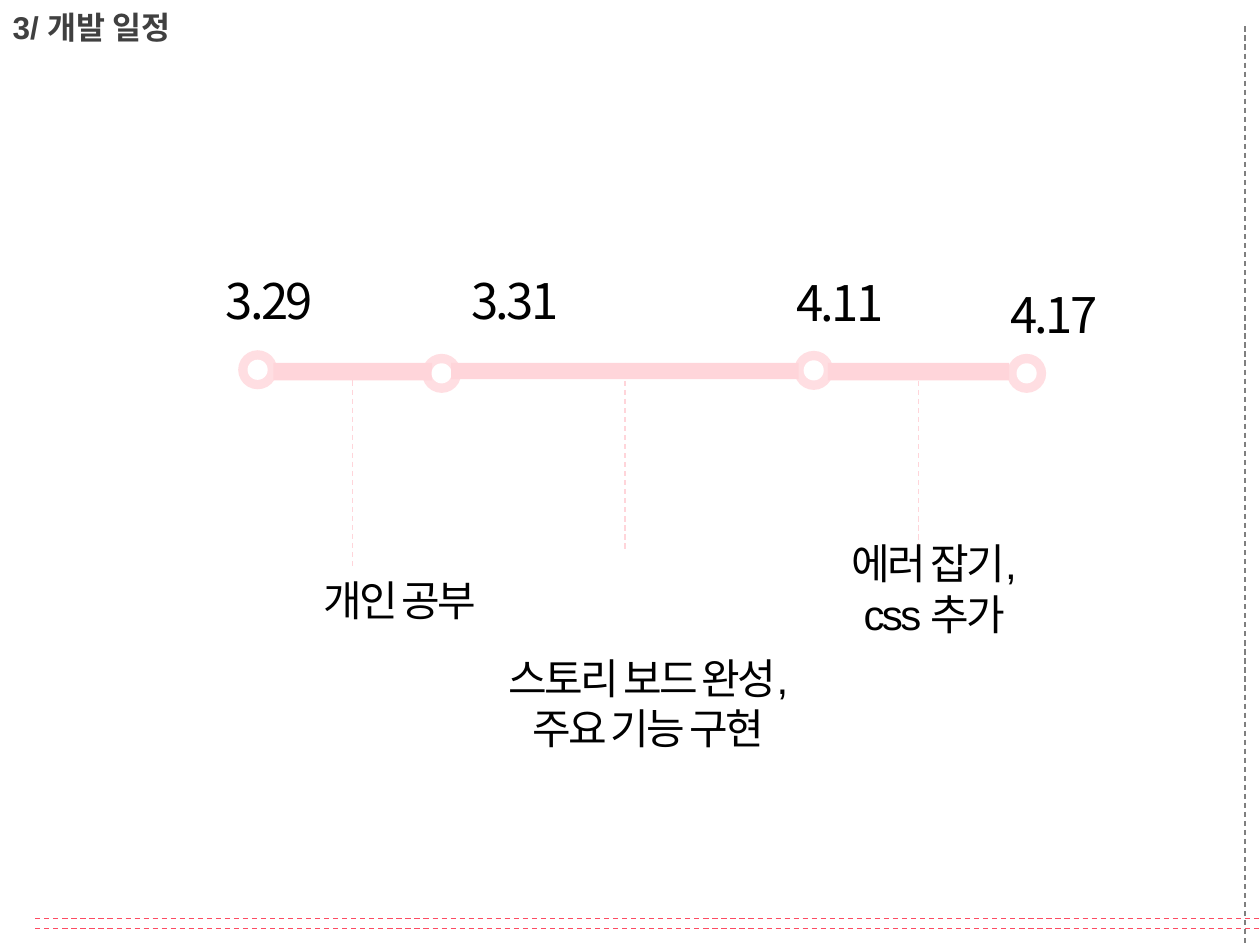
from pptx import Presentation
from pptx.dml.color import RGBColor
from pptx.enum.dml import MSO_LINE
from pptx.enum.shapes import MSO_CONNECTOR, MSO_SHAPE
from pptx.enum.text import MSO_ANCHOR, MSO_AUTO_SIZE, PP_ALIGN as ALIGN
from pptx.oxml.ns import qn
from pptx.util import Pt
from lxml.etree import SubElement

PINK = RGBColor(0xFF, 0xD5, 0xDA)
RED = RGBColor(0xFD, 0x4B, 0x62)
WHITE = RGBColor(0xFF, 0xFF, 0xFF)
BLACK = RGBColor(0, 0, 0)
DARK_GRAY = RGBColor(0x40, 0x40, 0x40)
GRAY = RGBColor(0x7F, 0x7F, 0x7F)

RING_SIZE, HOLE_SIZE = 22.32, 11.52
BAR_TOP = 207.36
TOP, BOTTOM = 0, 2  # connection sites of a rectangle


def write(shape, text, font="Arial", size=24, color=BLACK, bold=False,
          align=ALIGN.CENTER, spacing=-1.5, wrap=True):
    """Fill a shape with text, one paragraph per line."""
    frame = shape.text_frame
    frame.word_wrap = wrap
    frame.auto_size = MSO_AUTO_SIZE.SHAPE_TO_FIT_TEXT
    frame.vertical_anchor = MSO_ANCHOR.TOP
    frame.text = text
    for paragraph in frame.paragraphs:
        paragraph.alignment = align
        for run in paragraph.runs:
            run.font.name = font
            run.font.size = Pt(size)
            run.font.bold = bold
            run.font.color.rgb = color
            if spacing:
                run.font._element.set("spc", str(int(spacing * 100)))


def place(shape, left, top, width, height):
    shape.left, shape.top = Pt(left), Pt(top)
    shape.width, shape.height = Pt(width), Pt(height)


def add_text(slide, text, left, top, width, height, **text_format):
    box = slide.shapes.add_textbox(Pt(left), Pt(top), Pt(width), Pt(height))
    write(box, text, **text_format)


def add_filled(shapes, kind, left, top, width, height, color, opacity=None):
    shape = shapes.add_shape(kind, Pt(left), Pt(top), Pt(width), Pt(height))
    shape.shadow.inherit = False
    shape.line.fill.background()
    shape.fill.solid()
    shape.fill.fore_color.rgb = color
    if opacity is not None:
        color_element = shape._element.spPr.find(".//" + qn("a:srgbClr"))
        SubElement(color_element, qn("a:alpha")).set("val", str(opacity * 1000))
    return shape


def add_bar(slide, left, width, height):
    return add_filled(slide.shapes, MSO_SHAPE.RECTANGLE, left, BAR_TOP, width, height, PINK)


def add_milestone(slide, left, top):
    """Translucent ring with a white centre."""
    shapes = slide.shapes.add_group_shape().shapes
    inset = (RING_SIZE - HOLE_SIZE) / 2
    add_filled(shapes, MSO_SHAPE.OVAL, left, top, RING_SIZE, RING_SIZE, PINK, 78)
    add_filled(shapes, MSO_SHAPE.OVAL, left + inset, top + inset, HOLE_SIZE, HOLE_SIZE, WHITE)


def add_dashed_line(slide, start_x, start_y, end_x, end_y, color):
    line = slide.shapes.add_connector(
        MSO_CONNECTOR.STRAIGHT, Pt(start_x), Pt(start_y), Pt(end_x), Pt(end_y))
    line.line.color.rgb = color
    line.line.width = Pt(0.75)
    line.line.dash_style = MSO_LINE.DASH
    SubElement(line._element.spPr, qn("a:effectLst"))
    return line


def add_drop_line(slide, bar, site, end_y):
    """Dashed line falling from the middle of a bar."""
    middle = (bar.left + bar.width / 2) / Pt(1)
    line = add_dashed_line(slide, middle, BAR_TOP, middle, end_y, PINK)
    line.begin_connect(bar, site)


def main():
    presentation = Presentation()
    presentation.slide_width, presentation.slide_height = Pt(720), Pt(540)
    slide = presentation.slides.add_slide(presentation.slide_layouts[5])

    # Heading
    title = slide.shapes.title
    place(title, 0, 0.72, 118.8, 28.8)
    write(title, "3/ 개발 일정", size=18, color=DARK_GRAY, bold=True,
          align=ALIGN.LEFT, spacing=0, wrap=False)

    # Page frame
    add_dashed_line(slide, 711.36, 15.12, 711.36, 540, GRAY)
    for y in (530.64, 524.88):
        add_dashed_line(slide, 20.16, y, 720, y, RED)

    # Timeline
    study_bar = add_bar(slide, 156.24, 90.72, 10.08)
    for left, top in ((136.08, 200.16), (241.2, 202.2), (453.84, 200.5), (575.5, 202.2)):
        add_milestone(slide, left, top)
    build_bar = add_bar(slide, 257.76, 198.72, 9.36)
    fix_bar = add_bar(slide, 473.04, 103.68, 10.08)
    add_drop_line(slide, study_bar, BOTTOM, 324.72)
    add_drop_line(slide, build_bar, TOP, 314.64)
    add_drop_line(slide, fix_bar, TOP, 314.64)

    # Tasks
    add_text(slide, "개인 공부", 136.08, 324.72, 143.28, 36, align=ALIGN.RIGHT)
    add_text(slide, "스토리 보드 완성,\n주요 기능 구현", 257.76, 369.36, 225.36, 65.52)
    add_text(slide, "에러 잡기,\ncss 추가", 462.24, 303.84, 143.28, 65.52)

    # Dates
    for date, left, top, width in (
            ("3.29", 42.48, 151.2, 143.28), ("3.31", 231.84, 151.2, 94.32),
            ("4.11", 417.6, 151.92, 94.32), ("4.17", 540, 159.12, 94.32)):
        add_text(slide, date, left, top, width, 41.04, font="Noto Sans CJK KR",
                 size=28, align=ALIGN.RIGHT)

    presentation.save("out.pptx")


if __name__ == "__main__":
    main()
